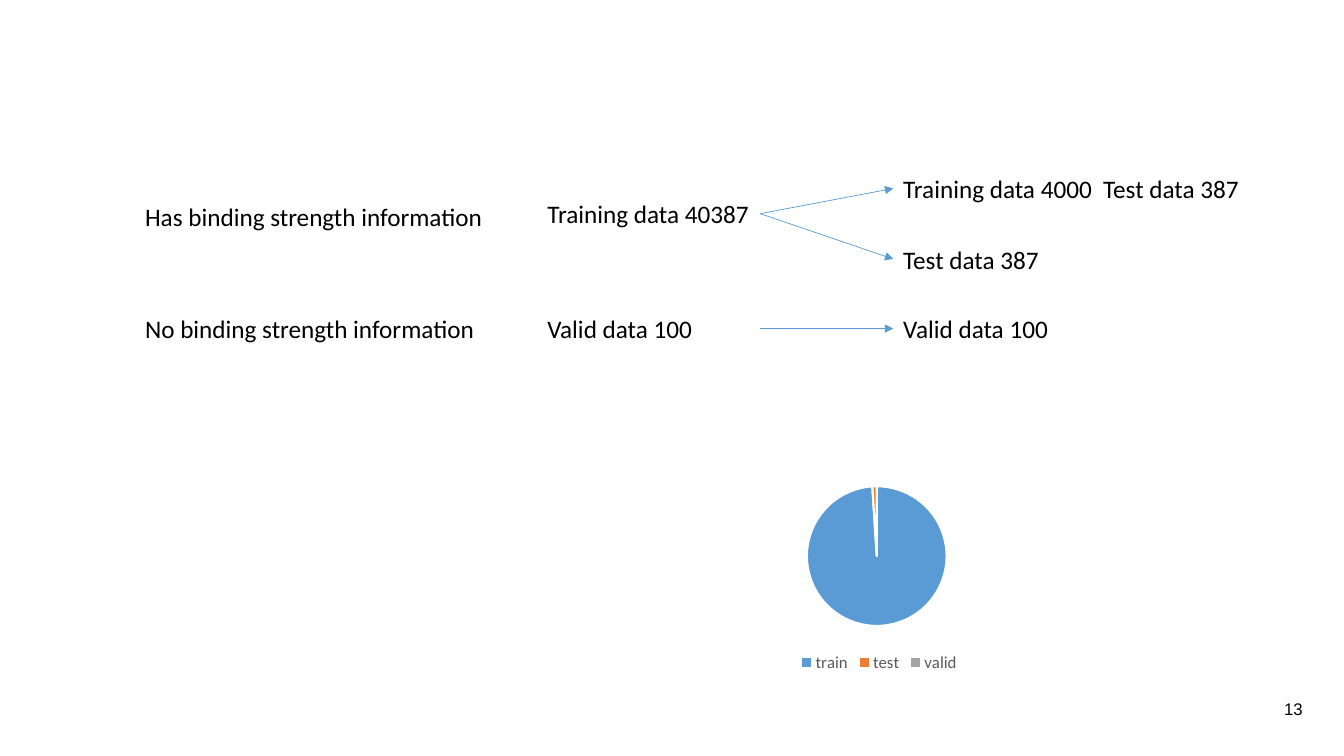
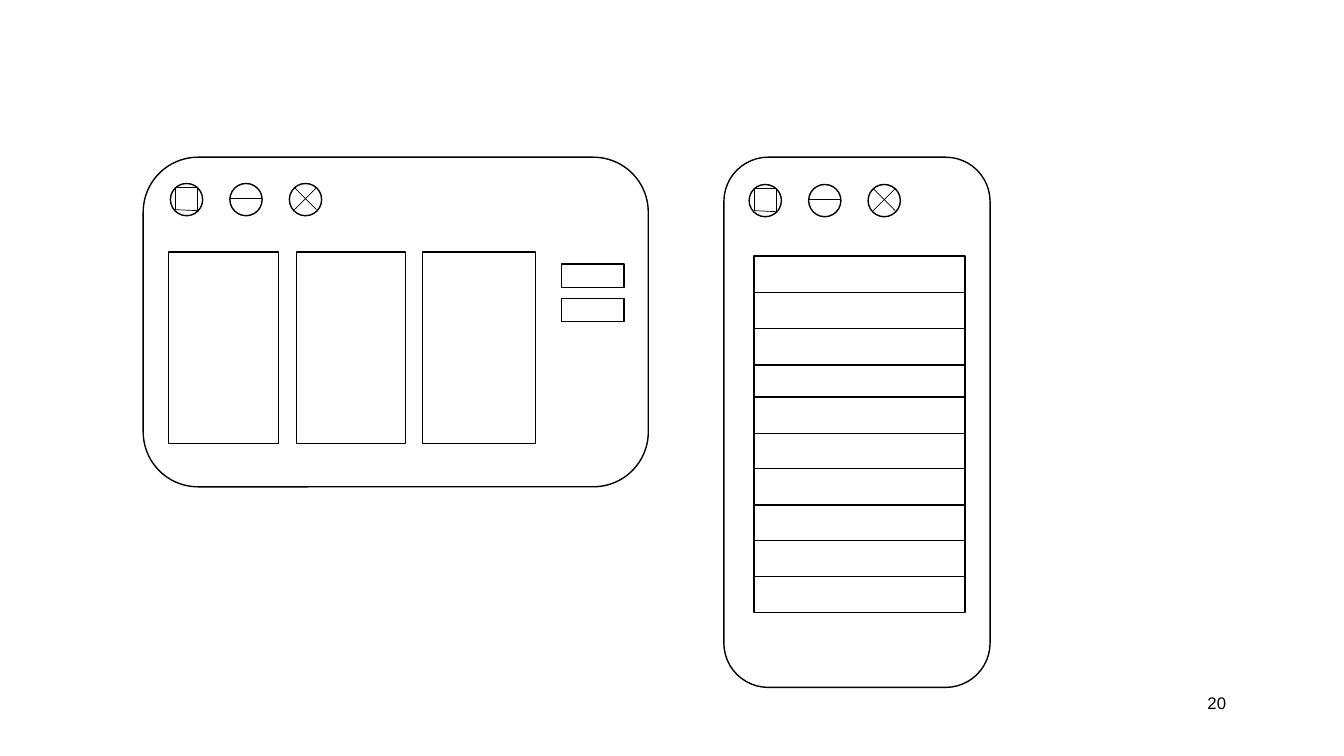
from typing import Any, NamedTuple

from lxml import etree
from pptx import Presentation
from pptx import util as u
from pptx.chart.chart import Chart
from pptx.chart.data import CategoryChartData
from pptx.dml.color import RGBColor
from pptx.enum import chart as charts
from pptx.enum import shapes, text
from pptx.oxml.ns import qn
from pptx.slide import Slide

PX = 9144
BLACK = RGBColor(0x00, 0x00, 0x00)
WHITE = RGBColor(0xFF, 0xFF, 0xFF)
GREY = RGBColor(0x59, 0x59, 0x59)
BLUE = RGBColor(0x5B, 0x9B, 0xD5)
ORANGE = RGBColor(0xED, 0x7D, 0x31)
SILVER = RGBColor(0xA5, 0xA5, 0xA5)
BODY_FONT = "Calibri"
NUMBER_FONT = "Arial"
TOP, LEFT, RIGHT = 0, 1, 3
BUTTON_SIZE = 32
BUTTON_PITCH = 59


class Box(NamedTuple):
    left: int
    top: int
    width: int
    height: int


class Label(NamedTuple):
    words: str
    box: Box
    wrap: bool = True


class Stroke(NamedTuple):
    x1: int
    y1: int
    x2: int
    y2: int


class Window(NamedTuple):
    frame: Box
    first_button: tuple[int, int]
    cells: list[Box]


LABELS = {
    "with strength": Label("Has binding strength information", Box(134, 195, 359, 40), False),
    "without strength": Label("No binding strength information", Box(134, 306, 351, 40), False),
    "training": Label("Training data 40387", Box(533, 192, 221, 40)),
    "valid": Label("Valid data 100", Box(533, 306, 221, 40)),
    "training split": Label("Training data 4000  Test data 387", Box(886, 167, 382, 40)),
    "test split": Label("Test data 387", Box(886, 237, 210, 40)),
    "valid split": Label("Valid data 100", Box(886, 306, 210, 40)),
}
ARROWS = [
    ("training", "training split"),
    ("training", "test split"),
    ("valid", "valid split"),
]
SLICES = [("train", 99, BLUE), ("test", 1, ORANGE), ("valid", 0, SILVER)]
PIE_LAYOUT = {"x": 0.35, "y": 0.28, "w": 0.29, "h": 0.53}

MAXIMIZE = [
    Stroke(27, 4, 5, 4),
    Stroke(5, 4, 5, 26),
    Stroke(5, 26, 27, 27),
    Stroke(27, 4, 27, 27),
]
MINIMIZE = [Stroke(0, 15, BUTTON_SIZE, 15)]
CLOSE = [Stroke(5, 4, 27, 26), Stroke(5, 26, 27, 4)]
BUTTONS = [MAXIMIZE, MINIMIZE, CLOSE]


def spread(first: int, last: int, count: int) -> list[int]:
    return [round(first + (last - first) * i / (count - 1)) for i in range(count)]


ROW_TOPS = spread(254, 362, 4) + spread(394, 572, 6)
WINDOWS = [
    Window(
        Box(142, 156, 501, 327),
        (169, 182),
        [Box(left, 250, width, 190) for left, width in ((167, 109), (294, 108), (419, 112))]
        + [Box(557, top, 62, 23) for top in (262, 296)],
    ),
    Window(
        Box(718, 156, 264, 526),
        (743, 183),
        [Box(748, top, 209, 36) for top in ROW_TOPS],
    ),
]


def emu(lengths: tuple[int, ...]) -> list[u.Emu]:
    return [u.Emu(length * PX) for length in lengths]


def add_text(slide: Slide, label: Label, size: int = 18, font: str = BODY_FONT) -> Any:
    shape = slide.shapes.add_textbox(*emu(label.box))
    frame = shape.text_frame
    frame.text = label.words
    frame.word_wrap = label.wrap
    run_font = frame.paragraphs[0].runs[0].font
    run_font.size = u.Pt(size)
    run_font.name = font
    run_font.color.rgb = BLACK
    return shape


def add_page_number(slide: Slide, number: int, left: int, top: int) -> None:
    label = Label(str(number), Box(left, top, 300, 40))
    shape = add_text(slide, label, 12, NUMBER_FONT)
    shape.text_frame.paragraphs[0].alignment = text.PP_ALIGN.RIGHT


def add_line(parent: Any, stroke: Stroke, color: RGBColor) -> Any:
    line = parent.shapes.add_connector(shapes.MSO_CONNECTOR.STRAIGHT, *emu(stroke))
    line.line.color.rgb = color
    line.line.width = u.Pt(0.5)
    etree.SubElement(line.element.spPr, qn("a:effectLst"))
    return line


def add_arrow(slide: Slide, source: Any, target: Any) -> None:
    arrow = add_line(slide, Stroke(0, 0, 0, 0), BLUE)
    arrow.begin_connect(source, RIGHT)
    arrow.end_connect(target, LEFT)
    outline = arrow.element.spPr.find(qn("a:ln"))
    etree.SubElement(outline, qn("a:tailEnd"), type="triangle")


def add_outline(parent: Any, kind: shapes.MSO_SHAPE, box: Box) -> None:
    shape = parent.shapes.add_shape(kind, *emu(box))
    shape.shadow.inherit = False
    shape.fill.solid()
    shape.fill.fore_color.rgb = WHITE
    shape.line.color.rgb = BLACK
    shape.line.width = u.Pt(1)


def place_plot(chart: Chart) -> None:
    plot_area = chart.element.find(".//" + qn("c:plotArea"))
    for old_layout in plot_area.findall(qn("c:layout")):
        plot_area.remove(old_layout)
    layout = etree.Element(qn("c:layout"))
    manual = etree.SubElement(layout, qn("c:manualLayout"))
    settings = {"layoutTarget": "inner", "xMode": "edge", "yMode": "edge", **PIE_LAYOUT}
    for name, value in settings.items():
        etree.SubElement(manual, qn("c:" + name), val=str(value))
    plot_area.insert(0, layout)


def add_split_pie(slide: Slide, box: Box) -> None:
    data = CategoryChartData()
    data.categories = [name for name, _, _ in SLICES]
    data.add_series("Series 1", [value for _, value, _ in SLICES])
    chart = slide.shapes.add_chart(charts.XL_CHART_TYPE.PIE, *emu(box), data).chart
    chart.font.name = BODY_FONT
    chart.font.size = u.Pt(10)
    chart.font.color.rgb = BLACK
    chart.has_title = False
    chart.has_legend = True
    chart.legend.position = charts.XL_LEGEND_POSITION.BOTTOM
    chart.legend.include_in_layout = False
    chart.legend.font.name = BODY_FONT
    chart.legend.font.size = u.Pt(12)
    chart.legend.font.color.rgb = GREY
    plot = chart.plots[0]
    plot.vary_by_categories = True
    for index, (_, _, color) in enumerate(SLICES):
        style = plot.series[0].points[index].format
        style.fill.solid()
        style.fill.fore_color.rgb = color
        style.line.color.rgb = WHITE
        style.line.width = u.Pt(1.5)
    place_plot(chart)


def add_button(slide: Slide, left: int, top: int, strokes: list[Stroke]) -> None:
    group = slide.shapes.add_group_shape()
    add_outline(group, shapes.MSO_SHAPE.OVAL, Box(left, top, BUTTON_SIZE, BUTTON_SIZE))
    for x1, y1, x2, y2 in strokes:
        add_line(group, Stroke(left + x1, top + y1, left + x2, top + y2), BLACK)


def add_window(slide: Slide, window: Window) -> None:
    add_outline(slide, shapes.MSO_SHAPE.ROUNDED_RECTANGLE, window.frame)
    left, top = window.first_button
    for index, strokes in enumerate(BUTTONS):
        add_button(slide, left + index * BUTTON_PITCH, top, strokes)
    for cell in window.cells:
        add_outline(slide, shapes.MSO_SHAPE.RECTANGLE, cell)


def build_data_split(slide: Slide) -> None:
    add_page_number(slide, 13, 1002, 688)
    boxes = {}
    for name, label in LABELS.items():
        boxes[name] = add_text(slide, label)
        boxes[name].text_frame.auto_size = text.MSO_AUTO_SIZE.SHAPE_TO_FIT_TEXT
    for source, target in ARROWS:
        add_arrow(slide, boxes[source], boxes[target])
    add_split_pie(slide, Box(633, 409, 478, 262))


def build_window_sketches(slide: Slide) -> None:
    add_page_number(slide, 20, 926, 682)
    for window in WINDOWS:
        add_window(slide, window)


def main() -> None:
    presentation = Presentation()
    presentation.slide_width, presentation.slide_height = emu((1333, 750))
    blank = presentation.slide_layouts[6]
    for build in (build_data_split, build_window_sketches):
        build(presentation.slides.add_slide(blank))
    presentation.save("out.pptx")


if __name__ == "__main__":
    main()
